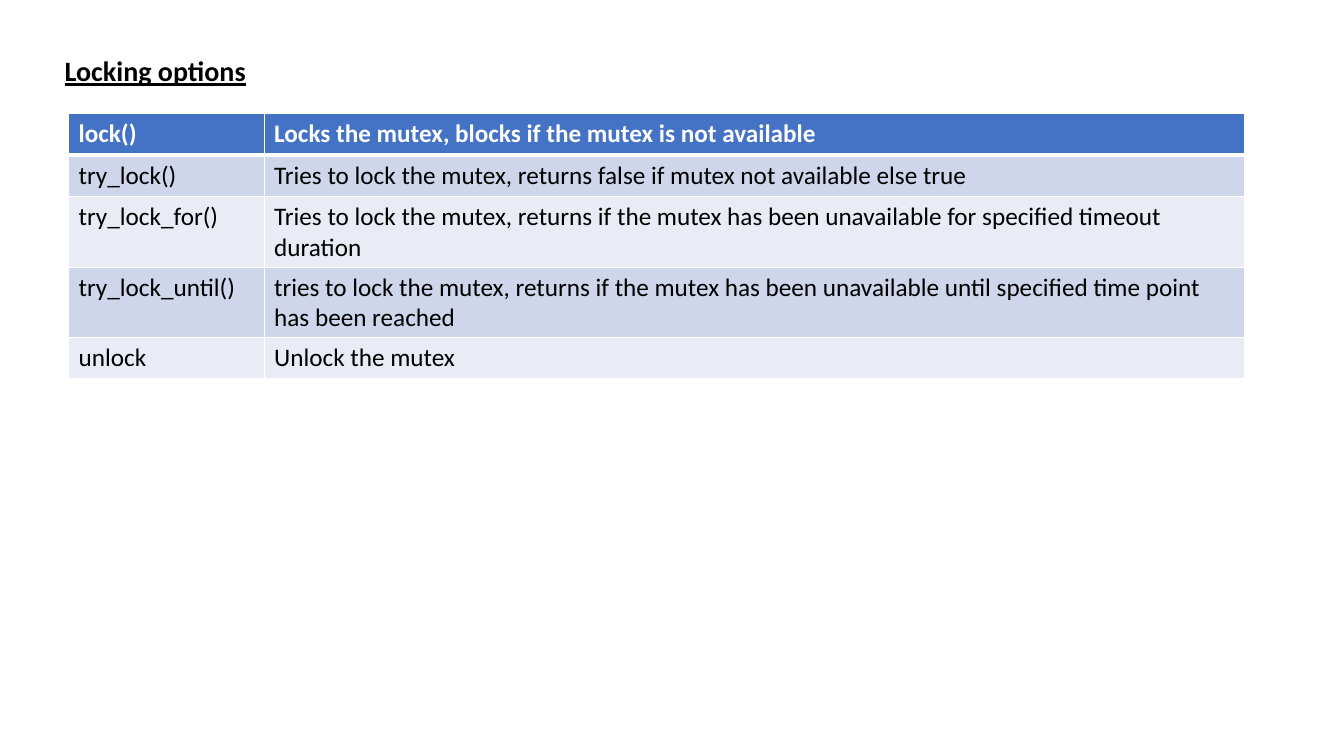
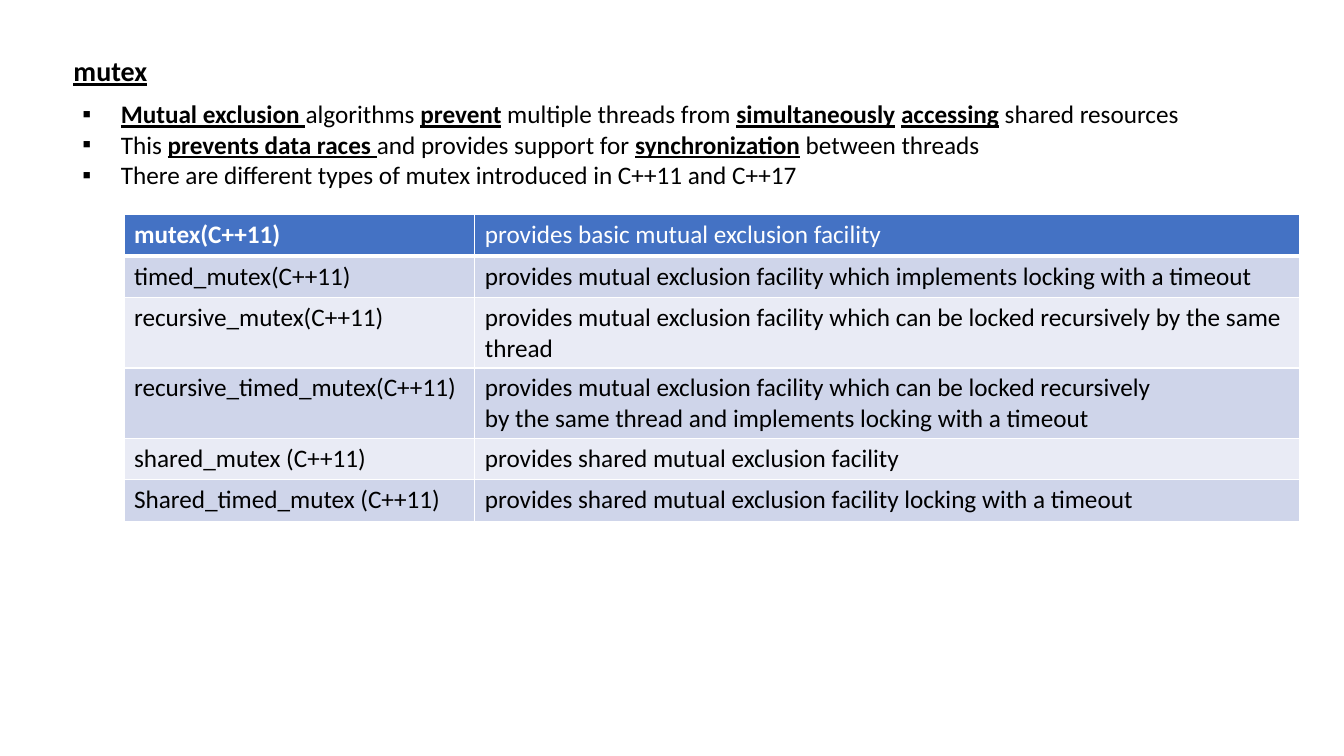
from lxml.etree import SubElement
from pptx import Presentation
from pptx.dml.color import RGBColor
from pptx.enum.text import MSO_ANCHOR, PP_ALIGN
from pptx.oxml.ns import qn
from pptx.util import Inches, Pt

FONT = "Calibri"
COLORS = {"text": "000000", "header": "4472C4", "header_text": "FFFFFF",
          "border": "FFFFFF", "odd_row": "CFD5EA", "even_row": "E9EBF5"}
TITLE_LEFT, TITLE_TOP, TITLE_HEIGHT = 0.52, 0.45, 0.47
CONTENT_WIDTH, ROW_HEIGHT, BULLET_INDENT = 11.66, 0.41, 0.38

# Content: ** switches bold underline on and off, \v breaks a line
SLIDES = [
    {
        "title": "Locking options", "title_width": 2.04,
        "table_at": (0.68, 1.13), "first_column": 1.94, "bold_headers": (True, True),
        "rows": [
            ("lock()", "Locks the mutex, blocks if the mutex is not available"),
            ("try_lock()", "Tries to lock the mutex, returns false if mutex not available else true"),
            ("try_lock_for()", "Tries to lock the mutex, returns if the mutex has been "
                               "unavailable for specified timeout\nduration"),
            ("try_lock_until()", "tries to lock the mutex, returns if the mutex has been "
                                 "unavailable until specified time point has been reached"),
            ("unlock", "Unlock the mutex"),
        ],
    },
    {
        "title": "mutex", "title_width": 1.15,
        "bullets_at": (0.72, 0.93, 1.01),
        "bullets": [
            "**Mutual exclusion **algorithms **prevent** multiple threads from "
            "**simultaneously** **accessing** shared resources",
            "This **prevents data races **and provides support for **synchronization** between threads",
            "There are different types of mutex introduced in C++11 and C++17",
        ],
        "table_at": (1.23, 2.13), "first_column": 3.48, "bold_headers": (True, False),
        "rows": [
            ("mutex(C++11)", "provides basic mutual exclusion facility"),
            ("timed_mutex(C++11)", "provides mutual exclusion facility which implements locking with a timeout"),
            ("recursive_mutex(C++11)", "provides mutual exclusion facility which can be locked "
                                       "recursively by the same thread"),
            ("recursive_timed_mutex(C++11)", "provides mutual exclusion facility which can be locked "
                                             "recursively\vby the same thread and implements locking with a timeout"),
            ("shared_mutex (C++11)", "provides shared mutual exclusion facility"),
            ("Shared_timed_mutex (C++11)", "provides shared mutual exclusion facility locking with a timeout"),
        ],
    },
]


def rgb(name):
    return RGBColor.from_string(COLORS[name])


def format_run(run, size=18, color="text", bold=False, underline=False):
    font = run.font
    font.name, font.size, font.bold, font.underline = FONT, Pt(size), bold, underline
    font.color.rgb = rgb(color)


def add_title(slide, title, width):
    box = slide.shapes.add_textbox(Inches(TITLE_LEFT), Inches(TITLE_TOP),
                                   Inches(width), Inches(TITLE_HEIGHT))
    frame = box.text_frame
    frame.text = title
    frame.vertical_anchor = MSO_ANCHOR.BOTTOM
    heading = frame.paragraphs[0]
    heading.alignment, heading.line_spacing = PP_ALIGN.CENTER, 0.9
    format_run(heading.runs[0], size=20, bold=True, underline=True)


def add_bullets(slide, bullets, left, top, height):
    frame = slide.shapes.add_textbox(Inches(left), Inches(top), Inches(CONTENT_WIDTH),
                                     Inches(height)).text_frame
    frame.word_wrap = True
    for index, bullet in enumerate(bullets):
        paragraph = frame.add_paragraph() if index else frame.paragraphs[0]
        properties = paragraph._p.get_or_add_pPr()
        properties.set("marL", str(Inches(BULLET_INDENT)))
        properties.set("indent", str(-Inches(BULLET_INDENT)))
        SubElement(properties, qn("a:buFont"), typeface="Arial")
        SubElement(properties, qn("a:buChar"), char="▪")
        for part, words in enumerate(bullet.split("**")):
            if words:
                run = paragraph.add_run()
                run.text = words
                key_term = part % 2 == 1
                format_run(run, bold=key_term, underline=key_term)


def set_borders(cell, top, bottom):
    properties = cell._tc.get_or_add_tcPr()
    for side, width in (("L", 1), ("R", 1), ("T", top), ("B", bottom)):
        line = SubElement(properties, qn(f"a:ln{side}"), w=str(Pt(width)))
        fill = SubElement(line, qn("a:solidFill"))
        SubElement(fill, qn("a:srgbClr"), val=COLORS["border"])


def add_definitions(slide, rows, left, top, first_column, bold_headers):
    table = slide.shapes.add_table(len(rows), 2, Inches(left), Inches(top), Inches(CONTENT_WIDTH),
                                   Inches(ROW_HEIGHT * len(rows))).table
    table.columns[0].width = Inches(first_column)
    table.columns[1].width = Inches(CONTENT_WIDTH - first_column)
    for r, row in enumerate(rows):
        table.rows[r].height = Inches(ROW_HEIGHT)
        fill = "header" if r == 0 else "odd_row" if r % 2 else "even_row"
        for c, words in enumerate(row):
            cell = table.cell(r, c)
            cell.text_frame.text = words
            # The rule under the header is thicker
            set_borders(cell, top=3 if r == 1 else 1, bottom=3 if r == 0 else 1)
            cell.fill.solid()
            cell.fill.fore_color.rgb = rgb(fill)
            for paragraph in cell.text_frame.paragraphs:
                for run in paragraph.runs:
                    format_run(run, color="text" if r else "header_text",
                               bold=r == 0 and bold_headers[c])


def main():
    deck = Presentation()
    deck.slide_width, deck.slide_height = Inches(13.33), Inches(7.5)
    for content in SLIDES:
        slide = deck.slides.add_slide(deck.slide_layouts[6])
        add_title(slide, content["title"], content["title_width"])
        if "bullets" in content:
            add_bullets(slide, content["bullets"], *content["bullets_at"])
        add_definitions(slide, content["rows"], *content["table_at"],
                        content["first_column"], content["bold_headers"])
    deck.save("out.pptx")


if __name__ == "__main__":
    main()
